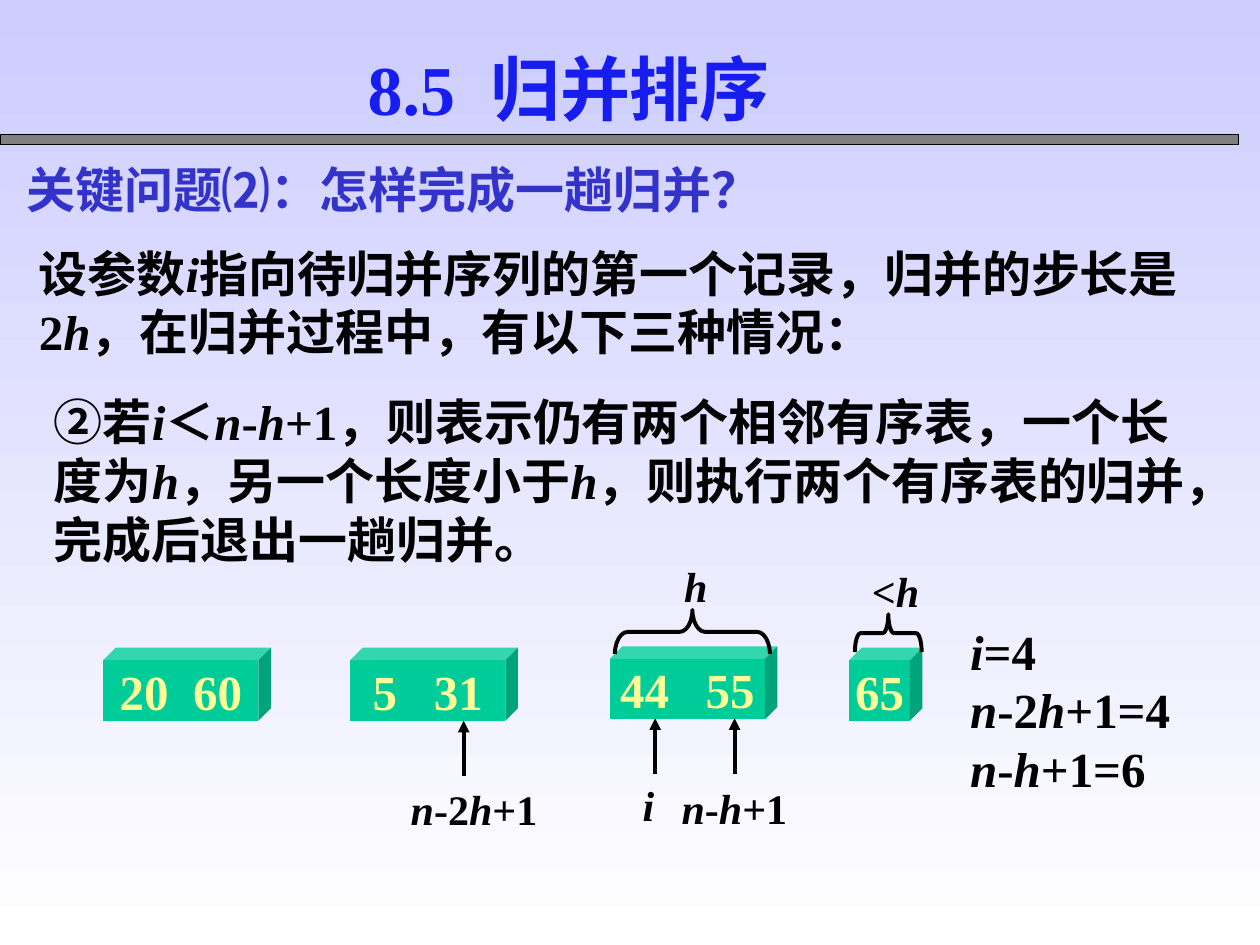
from dataclasses import dataclass

from lxml import etree
from pptx import Presentation, util as u
from pptx.dml.color import RGBColor
from pptx.enum import shapes, text
from pptx.oxml.ns import qn

COLS, ROWS = 100, 75
CELL = u.Inches(0.1)
SERIF, SANS, CJK = "Times New Roman", "Arial", "Noto Sans CJK SC"
BLACK, TITLE, HEADING = "000000", "171CEF", "3333CC"
CUBE, NUMBER, BAR = "00CC99", "FFFF97", "808080"
PAD = (1, 0.5)
Box = tuple[float, float, float, float]


@dataclass
class Run:
    text: str
    font: str = SERIF
    italic: bool = False
    spacing: float = 0


@dataclass
class Block:
    box: Box
    lines: list[list[Run]]
    size: int = 28
    color: str = BLACK
    pad: tuple[float, float] = (0, 0)
    shadow: bool = False


@dataclass
class Cube:
    box: Box
    numbers: str
    gap: float = 0


@dataclass
class Brace:
    box: Box
    curve: float


def rgb(value: str) -> RGBColor:
    return RGBColor.from_string(value)


def grid(*cells: float) -> list[int]:
    return [u.Emu(round(c * CELL)) for c in cells]


def rich(line: str) -> list[Run]:
    """Split a line into runs; the parts between asterisks are italic."""
    return [Run(part, italic=i % 2 == 1)
            for i, part in enumerate(line.split("*")) if part]


def spaced(line: str, extra: float) -> list[Run]:
    """Widen the single space between two words by extra points."""
    first, space, last = line.partition(" ")
    return [run for run in (Run(first), Run(space, spacing=extra), Run(last))
            if run.text]


def fill_text(tf, lines, size, color, pad=(0, 0), wrap=True, align=None, shadow=False):
    x, y = grid(*pad)
    frame = dict(margin_left=x, margin_right=x, margin_top=y, margin_bottom=y,
                 word_wrap=wrap)
    for name, value in frame.items():
        setattr(tf, name, value)
    for i, line in enumerate(lines):
        p = tf.add_paragraph() if i else tf.paragraphs[0]
        p.alignment = align
        for run in line:
            r = p.add_run()
            r.text = run.text
            style = dict(size=u.Pt(size), bold=True, italic=run.italic, name=run.font)
            for name, value in style.items():
                setattr(r.font, name, value)
            r.font.color.rgb = rgb(color)
            props = r.font._element
            if run.spacing:
                props.set("spc", str(round(run.spacing * 100)))
            latin = props.find(qn("a:latin"))
            east = etree.Element(qn("a:ea"), typeface=CJK)
            latin.addnext(east)
            if shadow:
                add_text_shadow(latin)


def add_text_shadow(latin):
    effects = etree.Element(qn("a:effectLst"))
    outer = etree.SubElement(effects, qn("a:outerShdw"),
                             dist="35921", dir="2700000", algn="ctr")
    etree.SubElement(outer, qn("a:srgbClr"), val=BAR)
    latin.addprevious(effects)


def add_block(s, block: Block):
    tf = s.shapes.add_textbox(*grid(*block.box)).text_frame
    fill_text(tf, block.lines, block.size, block.color, block.pad, shadow=block.shadow)


def add_solid(s, kind, box: Box, color: str):
    sp = s.shapes.add_shape(kind, *grid(*box))
    sp.shadow.inherit = False
    sp.fill.solid()
    sp.fill.fore_color.rgb = rgb(color)
    sp.line.fill.background()
    return sp


def add_cube(s, cube: Cube):
    sp = add_solid(s, shapes.MSO_SHAPE.CUBE, cube.box, CUBE)
    sp.adjustments[0] = 0.17
    tf = sp.text_frame
    fill_text(tf, [spaced(cube.numbers, cube.gap)], 28, NUMBER, PAD,
              wrap=False, align=text.PP_ALIGN.CENTER)
    tf.vertical_anchor = text.MSO_ANCHOR.MIDDLE


def set_line(line, width: float):
    line.color.rgb = rgb(BLACK)
    line.width = u.Pt(width)


def add_brace(s, brace: Brace):
    """Draw a left brace turned so that its point is at the top."""
    sp = s.shapes.add_shape(shapes.MSO_SHAPE.LEFT_BRACE, *grid(*brace.box))
    sp.shadow.inherit = False
    sp.fill.background()
    sp.rotation = 90
    sp.adjustments[0] = brace.curve
    set_line(sp.line, 2.25)


def add_up_arrow(s, x: float, bottom: float, length: float = 4.4):
    cx = s.shapes.add_connector(shapes.MSO_CONNECTOR.STRAIGHT,
                                *grid(x, bottom, x, bottom - length))
    set_line(cx.line, 2.25)
    etree.SubElement(cx.line._get_or_add_ln(), qn("a:tailEnd"), type="triangle")
    etree.SubElement(cx._element.spPr, qn("a:effectLst"))


BLOCKS = [
    Block((28.2, 3.1, 39.9, 7.7), [spaced("8.5 归并排序", 10)], 40, TITLE, PAD, True),
    Block((1.1, 12.2, 96.1, 5.7),
          [[Run("关键问题⑵：", CJK), Run("怎样完成一趟归并？", SANS)]],
          color=HEADING, pad=PAD),
    Block((2.1, 18.8, 95.2, 10.4),
          [rich("设参数*i*指向待归并序列的第一个记录，归并的步长是2*h*"
                "，在归并过程中，有以下三种情况：")], pad=PAD),
    Block((3.3, 30.6, 93.7, 15),
          [rich("②若*i*＜*n*-*h*+1，则表示仍有两个相邻有序表，一个长度为*h*"
                "，另一个长度小于*h*，则执行两个有序表的归并，完成后退出一趟归并。")],
          pad=PAD),
    Block((77, 49.3, 18.7, 14),
          [rich(line) for line in ("*i*=4", "*n*-2*h*+1=4", "*n*-*h*+1=6")]),
    Block((51, 61.9, 2, 4), [rich("*i*")], 24),
    Block((32.6, 62.2, 11.3, 4), [rich("*n*-2*h*+1")], 24),
    Block((54.1, 62.1, 11.3, 4), [rich("*n*-*h*+1")], 24),
    Block((54.3, 44.5, 3, 4), [rich("*h*")], 24),
    Block((69.2, 44.9, 4.9, 4), [rich("<*h*")], 24),
]
CUBES = [
    Cube((8.2, 51.4, 13.3, 5.8), "20 60", 7),
    Cube((27.8, 51.4, 13.3, 5.8), "5 31", 14),
    Cube((48.4, 51.3, 13.3, 5.8), "44 55", 14),
    Cube((67.4, 51.4, 5.8, 5.8), "65"),
]
BRACES = [Brace((53.2, 44, 3.5, 12.3), 0.29), Brace((69, 47.6, 3, 5.3), 0.15)]
ARROWS = [(36.8, 61.6), (52, 61.4), (58.3, 61.4)]


def main():
    prs = Presentation()
    prs.slide_width, prs.slide_height = grid(COLS, ROWS)
    s = prs.slides.add_slide(prs.slide_layouts[6])
    fill = s.background.fill
    fill.gradient()
    fill.gradient_angle = 270
    for stop, color in zip(fill.gradient_stops, ("CCCCFF", "FFFFFF")):
        stop.color.rgb = rgb(color)
    bar = add_solid(s, shapes.MSO_SHAPE.RECTANGLE, (0, 10.7, 98.3, 0.8), BAR)
    set_line(bar.line, 0.75)
    for cube in CUBES:
        add_cube(s, cube)
    for brace in BRACES:
        add_brace(s, brace)
    for x, bottom in ARROWS:
        add_up_arrow(s, x, bottom)
    for block in BLOCKS:
        add_block(s, block)
    prs.save("out.pptx")


if __name__ == "__main__":
    main()
